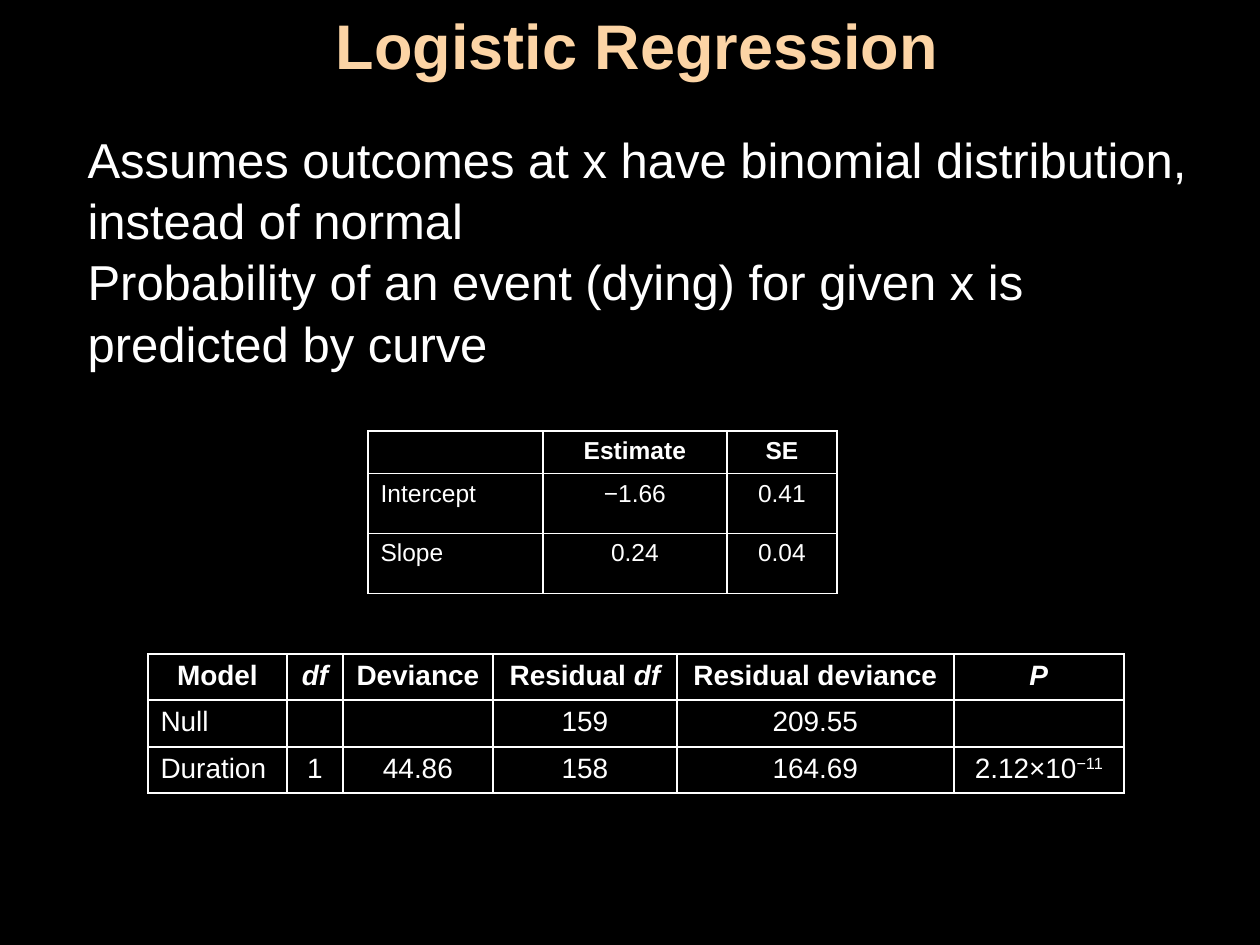
"""Build a slide on logistic regression with two result tables."""
from lxml.etree import SubElement
from pptx import Presentation
from pptx.dml.color import RGBColor
from pptx.enum.text import MSO_ANCHOR, MSO_AUTO_SIZE, PP_ALIGN
from pptx.oxml.ns import qn
from pptx.util import Emu, Inches, Pt

COLORS = {"background": "000000", "title": "FCD4A5", "text": "FFFFFF"}
FONT = "Arial"
TITLE = "Logistic Regression"
POINTS = [
    "Assumes outcomes at x have binomial distribution, instead of normal",
    "Probability of an event (dying) for given x is predicted by curve",
]
TABLES = [
    {
        "origin": (368, 431), "size": 14,
        "columns": [175, 184, 110], "rows": [42, 60, 60],
        "cells": [
            ["", "Estimate", "SE"],
            ["Intercept", "−1.66", "0.41"],
            ["Slope", "0.24", "0.04"],
        ],
    },
    {
        "origin": (148, 654), "size": 16,
        "columns": [139, 56, 150, 184, 277, 170], "rows": [46, 46, 46],
        "cells": [
            ["Model", [("df", "italic")], "Deviance",
             [("Residual ", ""), ("df", "italic")],
             "Residual deviance", [("P", "italic")]],
            ["Null", "", "", "159", "209.55", ""],
            ["Duration", "1", "44.86", "158", "164.69",
             [("2.12×10", ""), ("−11", "super")]],
        ],
    },
]


def px(value):
    return Emu(round(value * 914400 / 126))


def add_run(paragraph, text, size, color="text", bold=False, style=""):
    run = paragraph.add_run()
    run.text = text
    font = run.font
    font.name, font.size, font.bold = FONT, Pt(size), bold
    font.italic = style == "italic"
    font.color.rgb = RGBColor.from_string(COLORS[color])
    if style == "super":
        run._r.get_or_add_rPr().set("baseline", "30000")


def place(shape, left, top, width, height):
    shape.left, shape.top, shape.width, shape.height = map(px, (left, top, width, height))
    shape.text_frame.word_wrap = True
    shape.text_frame.auto_size = MSO_AUTO_SIZE.NONE


def fill_title(shape):
    place(shape, 33, 0, 1208, 89)
    shape.text_frame.vertical_anchor = MSO_ANCHOR.TOP
    paragraph = shape.text_frame.paragraphs[0]
    paragraph.alignment = PP_ALIGN.CENTER
    add_run(paragraph, TITLE, 36, "title", bold=True)


def fill_body(shape):
    place(shape, 75, 121, 1166, 251)
    frame = shape.text_frame
    for index, text in enumerate(POINTS):
        paragraph = frame.add_paragraph() if index else frame.paragraphs[0]
        paragraph.space_before = Pt(0)
        paragraph.line_spacing = 1.04
        properties = paragraph._p.get_or_add_pPr()
        properties.set("marL", "0")
        properties.set("indent", "0")
        SubElement(properties, qn("a:buNone"))
        add_run(paragraph, text, 28)


def add_borders(cell):
    properties = cell._tc.get_or_add_tcPr()
    for side in ("lnL", "lnR", "lnT", "lnB"):
        line = SubElement(properties, qn(f"a:{side}"), w=str(Pt(1)))
        fill = SubElement(line, qn("a:solidFill"))
        SubElement(fill, qn("a:srgbClr"), val=COLORS["text"])


def fill_cell(cell, content, size, header, centered):
    add_borders(cell)
    cell.fill.background()
    cell.margin_left = cell.margin_right = Inches(0.1)
    cell.margin_top = cell.margin_bottom = Inches(0.05)
    paragraph = cell.text_frame.paragraphs[0]
    paragraph.alignment = PP_ALIGN.CENTER if centered else PP_ALIGN.LEFT
    if not content:
        SubElement(paragraph._p, qn("a:endParaRPr"), sz=str(size * 100))
        return
    runs = [(content, "")] if isinstance(content, str) else content
    for text, style in runs:
        add_run(paragraph, text, size, bold=header, style=style)


def add_result_table(slide, data):
    columns, rows = data["columns"], data["rows"]
    bounds = (*data["origin"], sum(columns), sum(rows))
    table = slide.shapes.add_table(len(rows), len(columns), *map(px, bounds)).table
    table.first_row = table.horz_banding = False
    for column, width in zip(table.columns, columns):
        column.width = px(width)
    for row, height in zip(table.rows, rows):
        row.height = px(height)
    for row_index, contents in enumerate(data["cells"]):
        header = row_index == 0
        for column_index, content in enumerate(contents):
            fill_cell(table.cell(row_index, column_index), content,
                      data["size"], header, header or column_index > 0)


def main():
    presentation = Presentation()
    presentation.slide_width, presentation.slide_height = px(1260), px(945)
    slide = presentation.slides.add_slide(presentation.slide_layouts[1])
    background = slide.background.fill
    background.solid()
    background.fore_color.rgb = RGBColor.from_string(COLORS["background"])
    fill_title(slide.shapes.title)
    fill_body(slide.placeholders[1])
    for data in TABLES:
        add_result_table(slide, data)
    presentation.save("out.pptx")


if __name__ == "__main__":
    main()
